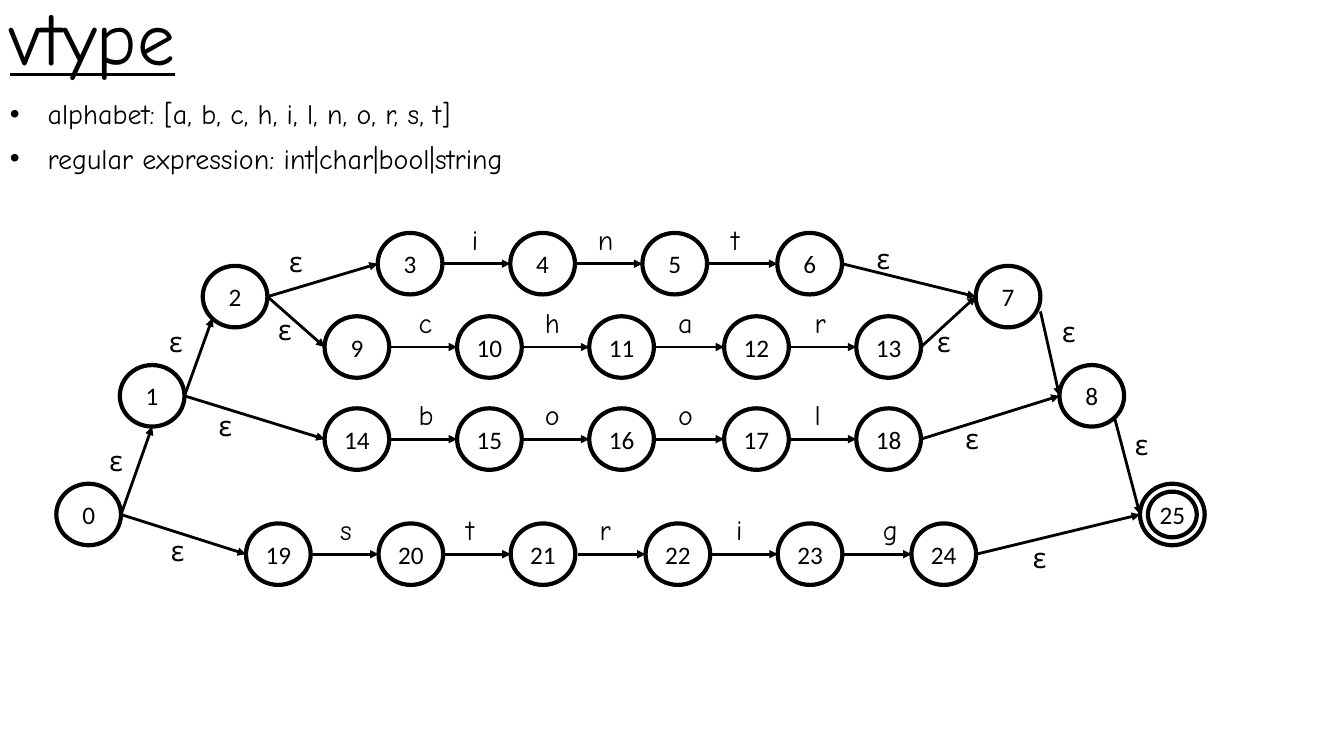
from lxml import etree
from pptx import Presentation
from pptx.dml.color import RGBColor
from pptx.enum.shapes import MSO_CONNECTOR, MSO_SHAPE
from pptx.enum.text import MSO_ANCHOR as Anchor, PP_ALIGN as Align
from pptx.oxml.ns import qn
from pptx.util import Cm, Pt

COLORS = {"ink": "000000"}
INK = RGBColor.from_string(COLORS["ink"])
NODE_W, NODE_H = 1.63, 1.55
ARROW_LENGTH = 1.71
NODE_STEPS = (0, 3.34, 6.67, 10.07, 13.4, 16.77)
LETTER_STEPS = (2.12, 5.3, 8.66, 12.1, 15.8)

# First state, left, top and the letters read along the row
ROWS = [
    (19, 6.2, 13.19, "strig"),
    (14, 8.18, 10.29, "bool"),
    (9, 8.18, 7.97, "char"),
    (3, 9.52, 5.87, "int"),
]
# Left and top of each state outside the rows
nodes = {
    0: (1.42, 12.19), 1: (3.02, 9.2), 2: (5.11, 6.7),
    7: (24.59, 6.7), 8: (26.7, 9.2), 25: (28.73, 12.19),
}
# Points on a state, as shares of its width and height
LEFT, RIGHT, BOTTOM = (0, 0.5), (1, 0.5), (0.5, 1)
LOWER_LEFT, LOWER_RIGHT, RIGHT_LOW = (0.15, 0.85), (0.85, 0.85), (1, 0.74)
# From state, its point, to state, its point, left and top of the label
EPSILON_MOVES = [
    (2, RIGHT, 3, LEFT, 7.04, 6.12),
    (2, RIGHT, 9, LEFT, 6.76, 7.85),
    (1, RIGHT, 2, LOWER_LEFT, 4.01, 8.15),
    (1, RIGHT, 14, LEFT, 5.26, 10.26),
    (0, RIGHT, 1, BOTTOM, 2.51, 11.15),
    (0, RIGHT, 19, LEFT, 4.06, 13.41),
    (6, RIGHT, 7, LEFT, 21.84, 6.05),
    (13, RIGHT, 7, LEFT, 23.37, 8.15),
    (7, RIGHT_LOW, 8, LEFT, 26.52, 7.9),
    (18, RIGHT, 8, LEFT, 24.08, 10.59),
    (8, LOWER_RIGHT, 25, LEFT, 28.35, 10.74),
    (24, RIGHT, 25, LEFT, 25.78, 13.59),
]

deck = Presentation()
deck.slide_width, deck.slide_height = Cm(33.87), Cm(19.05)
page = deck.slides.add_slide(deck.slide_layouts[6])


def write(shape, *lines, font="Comic Neue", size=20, align=Align.LEFT,
          anchor=Anchor.TOP, spacing=0.9, underline=False, bullet=False):
    """Fill a shape or text box with one paragraph per line."""
    frame = shape.text_frame
    frame.word_wrap = True
    frame.vertical_anchor = anchor
    for index, line in enumerate(lines):
        para = frame.add_paragraph() if index else frame.paragraphs[0]
        para.alignment = align
        para.line_spacing = spacing
        if index:
            para.space_before = Pt(10)
        if bullet:
            props = para._p.get_or_add_pPr()
            props.set("marL", str(Cm(0.95)))
            props.set("indent", str(Cm(-0.95)))
            etree.SubElement(props, qn("a:buFont")).set("typeface", "Arial")
            etree.SubElement(props, qn("a:buChar")).set("char", "•")
        span = para.add_run()
        span.text = line
        span.font.name = font
        span.font.size = Pt(size)
        span.font.underline = underline
        span.font.color.rgb = INK


def add_arrow(x1, y1, x2, y2):
    arrow = page.shapes.add_connector(
        MSO_CONNECTOR.STRAIGHT, Cm(x1), Cm(y1), Cm(x2), Cm(y2))
    arrow.line.color.rgb = INK
    arrow.line.width = Pt(2)
    etree.SubElement(arrow.line._get_or_add_ln(), qn("a:tailEnd")).set("type", "triangle")
    etree.SubElement(arrow._element.spPr, qn("a:effectLst"))


title = page.shapes.add_textbox(0, 0, Cm(25.4), Cm(2.18))
write(title, "vtype", size=54, anchor=Anchor.BOTTOM, underline=True)
summary = page.shapes.add_textbox(0, Cm(2.41), Cm(33.87), Cm(2.24))
write(summary, "alphabet: [a, b, c, h, i, l, n, o, r, s, t]",
      "regular expression: int|char|bool|string", bullet=True)

# Rows of states joined by letters
labels = []
for first, left, top, letters in ROWS:
    for index, step in enumerate(NODE_STEPS[:len(letters) + 1]):
        nodes[first + index] = (left + step, top)
        if index:
            middle = top + NODE_H / 2
            add_arrow(left + step - ARROW_LENGTH, middle, left + step, middle)
    for letter, step in zip(letters, LETTER_STEPS):
        labels.append((letter, left + step, top - 0.3))

# Moves between rows
for start, leave, end, enter, label_left, label_top in EPSILON_MOVES:
    (x1, y1), (x2, y2) = nodes[start], nodes[end]
    add_arrow(x1 + leave[0] * NODE_W, y1 + leave[1] * NODE_H,
              x2 + enter[0] * NODE_W, y2 + enter[1] * NODE_H)
    labels.append(("ε", label_left, label_top))

# States; the accepting one has a second ring inside
rings = [(str(number), *place, 0) for number, place in nodes.items()]
rings.append(("", *nodes[25], 0.2))
for number, left, top, inset in rings:
    ring = page.shapes.add_shape(
        MSO_SHAPE.OVAL, Cm(left + inset), Cm(top + inset),
        Cm(NODE_W - 2 * inset), Cm(NODE_H - 2 * inset))
    ring.shadow.inherit = False
    ring.fill.background()
    ring.line.color.rgb = INK
    ring.line.width = Pt(3)
    if number:
        ring.text_frame.margin_left = ring.text_frame.margin_right = 0
        write(ring, number, font="Calibri", size=18, align=Align.CENTER,
              anchor=Anchor.MIDDLE, spacing=1.0)

for text, left, top in labels:
    box = page.shapes.add_textbox(Cm(left), Cm(top), Cm(1.4), Cm(1.55))
    write(box, text)

deck.save("out.pptx")
